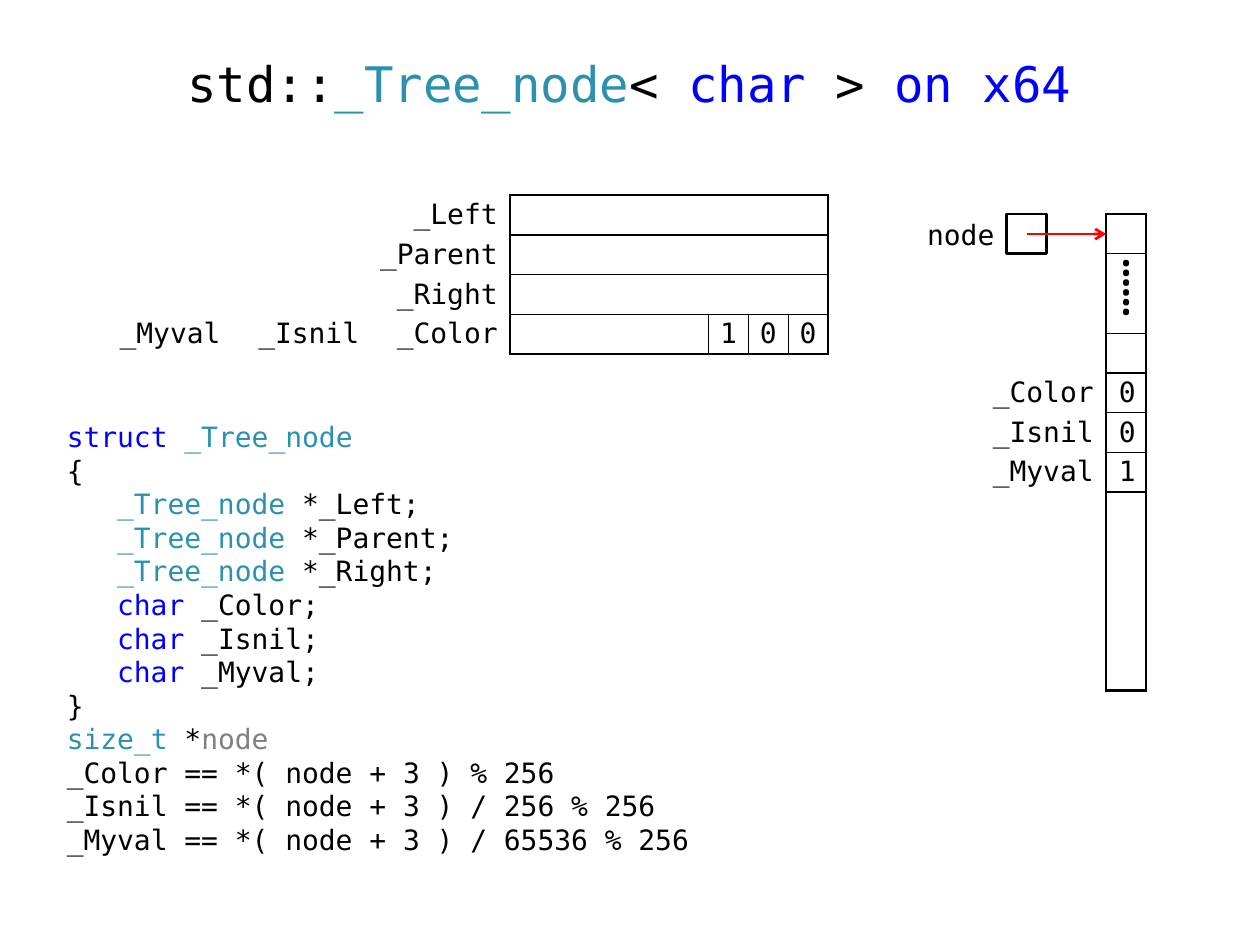
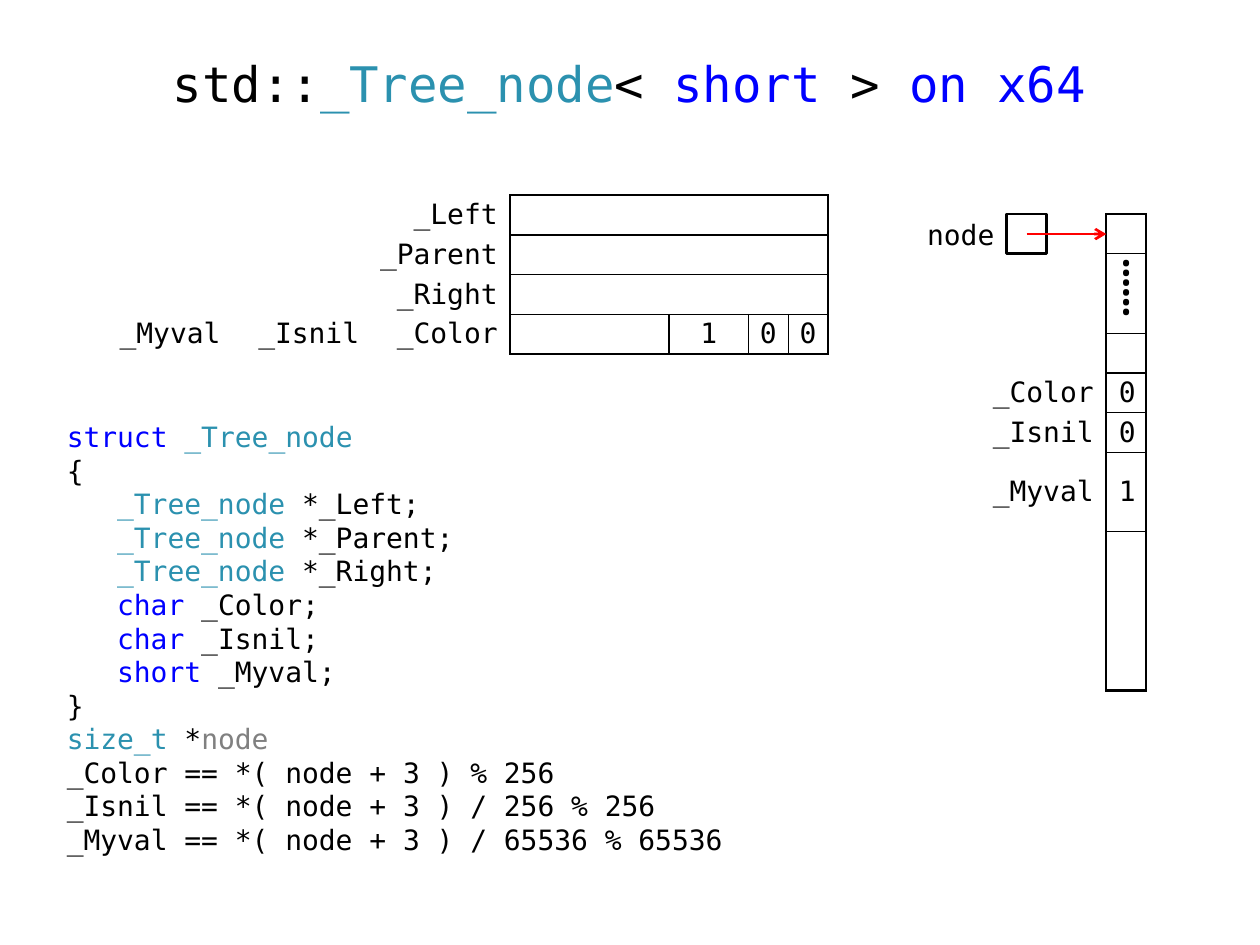
from dataclasses import dataclass
from typing import Any

from lxml.etree import SubElement
from pptx import Presentation
from pptx.dml.color import RGBColor
from pptx.enum.shapes import MSO_CONNECTOR, MSO_SHAPE
from pptx.enum.text import MSO_ANCHOR, MSO_AUTO_SIZE, PP_ALIGN
from pptx.oxml.ns import qn
from pptx.util import Inches, Pt

BLACK = RGBColor(0x00, 0x00, 0x00)
WHITE = RGBColor(0xFF, 0xFF, 0xFF)
BLUE = RGBColor(0x00, 0x00, 0xFF)
TEAL = RGBColor(0x2B, 0x91, 0xAF)
GREY = RGBColor(0x80, 0x80, 0x80)
RED = RGBColor(0xFF, 0x00, 0x00)

MONO = "DejaVu Sans Mono"
SERIF = "Times New Roman"
NO_STYLE = "{2D5ABB26-0587-4C30-8999-92F81FD0307C}"
UNIT = 1.26 / 4
LABEL = 1.1
THICK = 1.5
THIN = 0.75

Runs = list[tuple[str, RGBColor]]


@dataclass
class Node:
    kind: str
    size: int
    mod: int


@dataclass
class Edge:
    left: float = 0
    right: float = 0
    top: float = 0
    bottom: float = 0


NODES = [Node("char", 1, 256), Node("short", 2, 65536)]


def apply(item: Any, form: dict[str, Any]) -> None:
    for name, value in form.items():
        setattr(item, name, value)


def write(para: Any, runs: Runs, size: float = 16, face: str = MONO) -> None:
    for text, tint in runs:
        run = para.add_run()
        run.text = text
        apply(run.font, {"size": Pt(size), "name": face})
        run.font.color.rgb = tint


def place(shape: Any, left: float, top: float, width: float, height: float) -> None:
    apply(shape, {"left": Inches(left), "top": Inches(top),
                  "width": Inches(width), "height": Inches(height)})


def add_title(slide: Any, node: Node) -> None:
    title = slide.shapes.title
    place(title, 0.43, 0.29, 9.13, 0.79)
    apply(title.text_frame, {"vertical_anchor": MSO_ANCHOR.MIDDLE,
                             "auto_size": MSO_AUTO_SIZE.NONE})
    para = title.text_frame.paragraphs[0]
    apply(para, {"alignment": PP_ALIGN.CENTER, "line_spacing": 0.9})
    write(para, [("std::", BLACK), ("_Tree_node", TEAL), ("< ", BLACK),
                 (f"{node.kind} ", BLUE), (">", BLACK), (" on x64", BLUE)], 28)


def add_code(slide: Any, node: Node) -> None:
    body = slide.placeholders[1]
    place(body, 0.43, 3.28, 6.46, 3.62)
    frame = body.text_frame
    apply(frame, {"auto_size": MSO_AUTO_SIZE.NONE, "word_wrap": True,
                  "vertical_anchor": MSO_ANCHOR.TOP})
    links = [[("_Tree_node", TEAL), (f" *_{name};", BLACK)]
             for name in ("Left", "Parent", "Right")]
    fields = [[(kind, BLUE), (f" _{name};", BLACK)]
              for kind, name in (("char", "Color"), ("char", "Isnil"), (node.kind, "Myval"))]
    inner = links + fields
    sums = [("Color", "% 256"), ("Isnil", "/ 256 % 256"), ("Myval", f"/ 65536 % {node.mod}")]
    lines = [[("struct ", BLUE), ("_Tree_node", TEAL)], [("{", BLACK)], *inner,
             [("}", BLACK)], [("size_t", TEAL), (" *", BLACK), ("node", GREY)],
             *[[(f"_{name} == *( node + 3 ) {rest}", BLACK)] for name, rest in sums]]
    for i, runs in enumerate(lines):
        para = frame.add_paragraph() if i else frame.paragraphs[0]
        apply(para, {"alignment": PP_ALIGN.LEFT, "line_spacing": Pt(19.2),
                     "space_before": Pt(0), "space_after": Pt(0)})
        props = para._p.get_or_add_pPr()
        props.set("marL", str(Inches(0.4) if runs in inner else 0))
        props.set("indent", "0")
        SubElement(props, qn("a:buNone"))
        write(para, runs)


def add_grid(slide: Any, left: float, top: float, cols: list[float], rows: list[float]) -> Any:
    shape = slide.shapes.add_table(len(rows), len(cols), Inches(left), Inches(top),
                                   Inches(sum(cols)), Inches(sum(rows)))
    for tag in shape.element.iter(qn("a:tableStyleId")):
        tag.text = NO_STYLE
    grid = shape.table
    apply(grid, {"first_row": False, "horz_banding": False})
    for col, width in zip(grid.columns, cols):
        col.width = Inches(width)
    for row, height in zip(grid.rows, rows):
        row.height = Inches(height)
    for cell in grid.iter_cells():
        apply(cell, {"margin_left": Inches(0.1), "margin_right": Inches(0.1),
                     "margin_top": 0, "margin_bottom": 0,
                     "vertical_anchor": MSO_ANCHOR.MIDDLE})
        cell.fill.background()
    return grid


def frame_cell(cell: Any, edge: Edge) -> None:
    props = cell._tc.get_or_add_tcPr()
    sides = [("a:lnL", edge.left), ("a:lnR", edge.right),
             ("a:lnT", edge.top), ("a:lnB", edge.bottom)]
    for spot, (tag, width) in enumerate([side for side in sides if side[1]]):
        line = SubElement(props, qn(tag), w=str(Pt(width)))
        fill = SubElement(line, qn("a:solidFill"))
        SubElement(fill, qn("a:srgbClr"), val=str(BLACK))
        props.insert(spot, line)


def fill_cell(cell: Any, text: str, align: Any, size: float = 16, face: str = MONO) -> None:
    para = cell.text_frame.paragraphs[0]
    para.alignment = align
    write(para, [(text, BLACK)], size, face)


def add_words(slide: Any, node: Node) -> None:
    parts = [6 - node.size, node.size, 1, 1]
    grid = add_grid(slide, 0.75, 1.55, [LABEL] * 3 + [UNIT * n for n in parts], [UNIT] * 4)
    for row, text in enumerate(("_Left", "_Parent", "_Right")):
        name, box = grid.cell(row, 0), grid.cell(row, 3)
        name.merge(grid.cell(row, 2))
        box.merge(grid.cell(row, 6))
        fill_cell(name, text, PP_ALIGN.RIGHT)
        frame_cell(name, Edge(right=THICK))
        frame_cell(box, Edge(THICK, THICK, THIN if row else THICK, THIN))
    for col, text in enumerate(("_Myval", "_Isnil", "_Color")):
        fill_cell(grid.cell(3, col), text, PP_ALIGN.RIGHT)
    frame_cell(grid.cell(3, 2), Edge(right=THICK))
    for col, text in enumerate(("", "1", "0", "0"), 3):
        cell = grid.cell(3, col)
        frame_cell(cell, Edge(THICK if col == 3 else THIN, THICK if col == 6 else THIN,
                              THIN, THICK))
        if text:
            apply(cell, {"margin_left": Inches(0.08), "margin_right": Inches(0.08)})
            fill_cell(cell, text, PP_ALIGN.CENTER)


def add_bytes(slide: Any, node: Node) -> None:
    spans = [1] * 6 + [node.size, 6 - node.size]
    grid = add_grid(slide, 7.68, 1.7, [LABEL, UNIT], [UNIT * n for n in spans])
    dots = grid.cell(1, 1)
    dots.merge(grid.cell(2, 1))
    dots.margin_bottom = Inches(0.08)
    fill_cell(dots, "\u2e3d", PP_ALIGN.CENTER, 28, SERIF)
    for row, (text, digit) in enumerate((("_Color", "0"), ("_Isnil", "0"), ("_Myval", "1")), 4):
        fill_cell(grid.cell(row, 0), text, PP_ALIGN.RIGHT)
        fill_cell(grid.cell(row, 1), digit, PP_ALIGN.CENTER)
    last = len(spans) - 1
    for row in range(last + 1):
        frame_cell(grid.cell(row, 0), Edge(right=THICK))
        if not grid.cell(row, 1).is_spanned:
            frame_cell(grid.cell(row, 1), Edge(THICK, THICK, THIN if row else THICK,
                                               THICK if row == last else THIN))


def add_link(slide: Any) -> None:
    left, top = 7.99, 1.7
    label = slide.shapes.add_textbox(Inches(7.2), Inches(top), Inches(0.79), Inches(UNIT))
    apply(label.text_frame, {"word_wrap": True, "vertical_anchor": MSO_ANCHOR.MIDDLE,
                             "margin_top": 0, "margin_bottom": 0})
    para = label.text_frame.paragraphs[0]
    para.alignment = PP_ALIGN.RIGHT
    write(para, [("node", BLACK)])

    box = slide.shapes.add_shape(MSO_SHAPE.RECTANGLE, Inches(left), Inches(top),
                                 Inches(UNIT), Inches(UNIT))
    box.shadow.inherit = False
    box.fill.solid()
    box.fill.fore_color.rgb = WHITE
    box.line.color.rgb = BLACK
    box.line.width = Pt(THICK)

    mid = Inches(top + UNIT / 2)
    arrow = slide.shapes.add_connector(MSO_CONNECTOR.STRAIGHT, Inches(left + UNIT / 2), mid,
                                       Inches(7.68 + LABEL), mid)
    arrow.line.color.rgb = RED
    arrow.line.width = Pt(THICK)
    props = arrow.element.spPr
    SubElement(props.find(qn("a:ln")), qn("a:tailEnd"), type="arrow")
    SubElement(props, qn("a:effectLst"))


def main() -> None:
    deck = Presentation()
    apply(deck, {"slide_width": Inches(10), "slide_height": Inches(7.5)})
    for node in NODES:
        slide = deck.slides.add_slide(deck.slide_layouts[1])
        add_title(slide, node)
        add_code(slide, node)
        add_words(slide, node)
        add_bytes(slide, node)
        add_link(slide)
    deck.save("out.pptx")


main()
